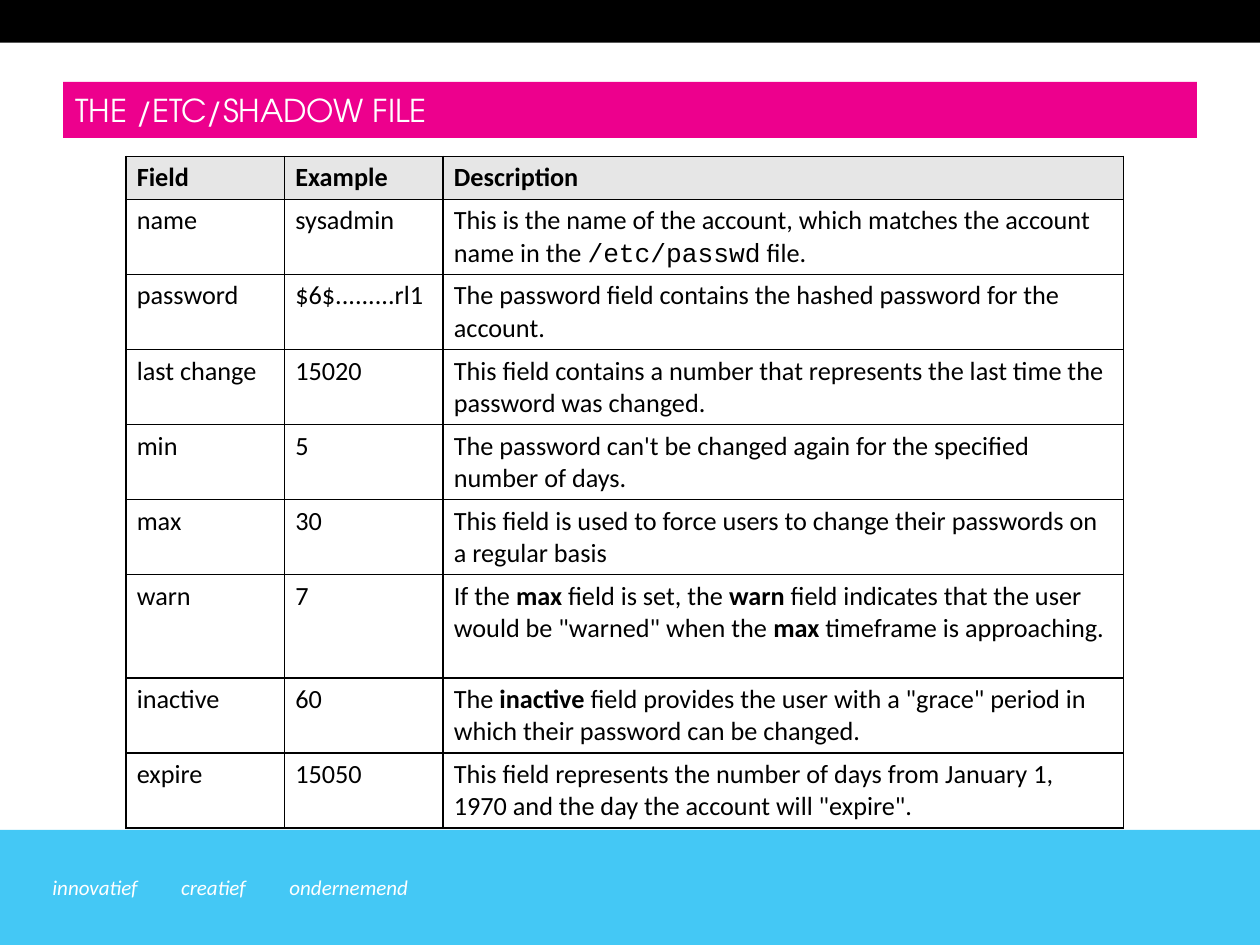
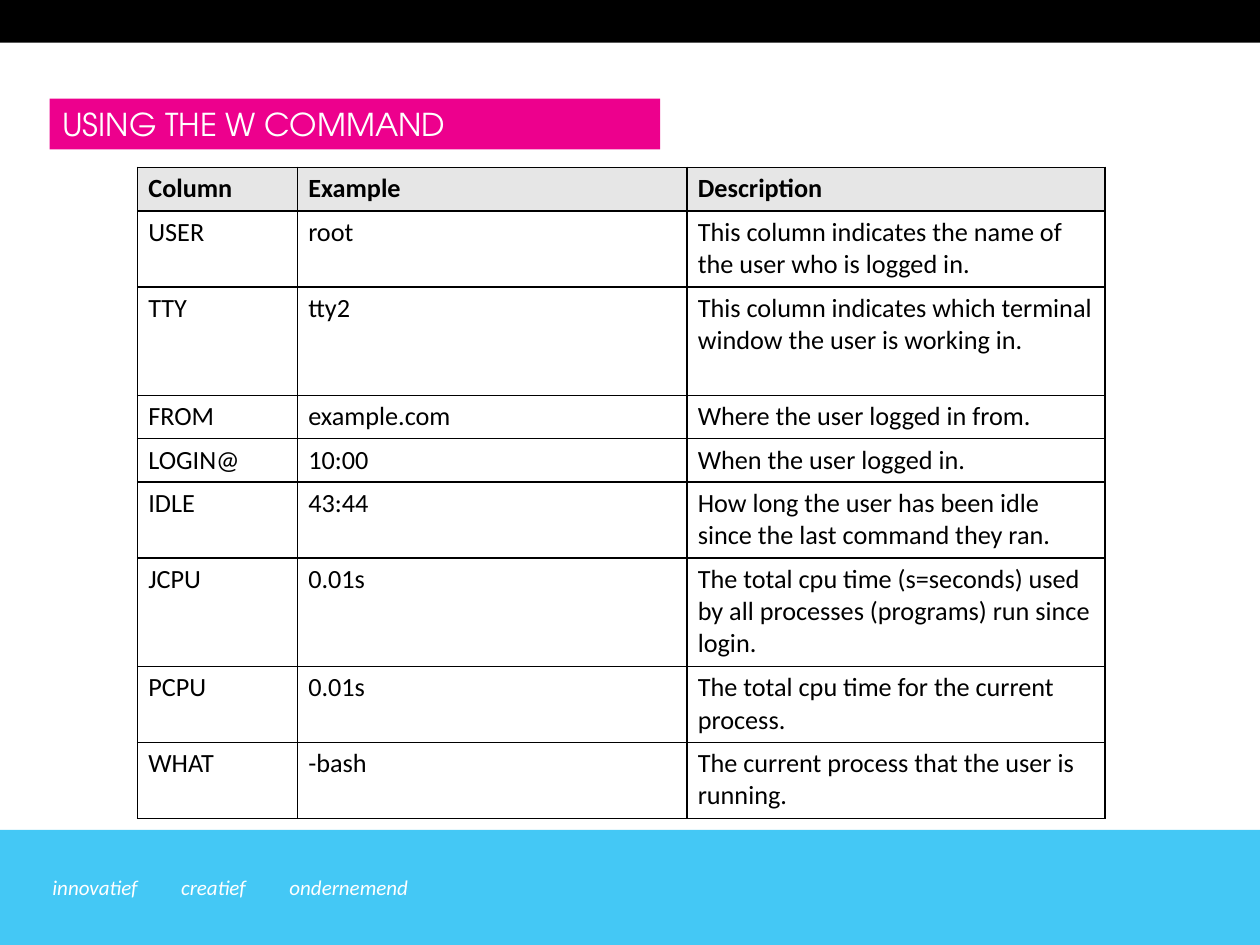
from dataclasses import dataclass

from lxml import etree
from pptx import Presentation
from pptx import util as u
from pptx.dml import color
from pptx.enum import shapes, text
from pptx.oxml import ns

Pt = u.Pt


@dataclass(frozen=True)
class Theme:
    """Colours, fonts and type sizes of the deck."""
    black: str = "000000"
    white: str = "FFFFFF"
    pink: str = "ED008D"
    blue: str = "44C8F5"
    header_gray: str = "E6E6E6"
    title_font: str = "TeX Gyre Adventor"
    body_font: str = "Calibri"
    code_font: str = "Courier New"
    title_size: int = 18
    table_size: int = 15
    footer_size: int = 12


SLIDE_WIDTH, SLIDE_HEIGHT = 720, 540
TITLE_ONLY = 5
FOOTER_TOP = 474.2
# word: (left, width)
FOOTER_WORDS = {
    "innovatief": (30, 56),
    "creatief": (103.5, 45),
    "ondernemend": (165.4, 76),
}
CELL_MARGIN_X, CELL_MARGIN_Y = 6.2, 3.13

# Styled words inside a cell are (words, style) pairs
SHADOW_ROWS = [
    ("Field", "Example", "Description"),
    ("name", "sysadmin",
     ["This is the name of the account, which matches the account name in the ",
      ("/etc/passwd", "code"), " file."]),
    ("password", "$6$.........rl1",
     "The password field contains the hashed password for the account."),
    ("last change", "15020",
     "This field contains a number that represents the last time the "
     "password was changed."),
    ("min", "5",
     "The password can't be changed again for the specified number of days."),
    ("max", "30",
     "This field is used to force users to change their passwords on a regular basis"),
    ("warn", "7",
     ["If the ", ("max", "bold"), " field is set, the ", ("warn", "bold"),
      ' field indicates that the user would be "warned" when the ',
      ("max ", "bold"), "timeframe is approaching."]),
    ("inactive", "60",
     ["The ", ("inactive", "bold"),
      ' field provides the user with a "grace" period in which their '
      "password can be changed."]),
    ("expire", "15050",
     "This field represents the number of days from January 1, 1970 and the day "
     'the account will "expire".'),
]

W_ROWS = [
    ("Column", "Example", "Description"),
    ("USER", "root", "This column indicates the name of the user who is logged in."),
    ("TTY", "tty2",
     "This column indicates which terminal window the user is working in."),
    ("FROM", "example.com", "Where the user logged in from."),
    ("LOGIN@", "10:00", "When the user logged in."),
    ("IDLE", "43:44",
     "How long the user has been idle since the last command they ran."),
    ("JCPU", "0.01s",
     "The total cpu time (s=seconds) used by all processes (programs) run since login."),
    ("PCPU", "0.01s", "The total cpu time for the current process."),
    ("WHAT", "-bash", "The current process that the user is running."),
]


class Deck:
    """Holds the theme and the slide being built."""

    def __init__(self, theme):
        self.theme = theme
        self.presentation = Presentation()
        self.presentation.slide_width = Pt(SLIDE_WIDTH)
        self.presentation.slide_height = Pt(SLIDE_HEIGHT)
        self.slide = None

    def add_slide(self, title, title_box):
        layout = self.presentation.slide_layouts[TITLE_ONLY]
        self.slide = self.presentation.slides.add_slide(layout)
        self.add_band(FOOTER_TOP, SLIDE_HEIGHT - FOOTER_TOP, self.theme.blue)
        self.add_band(0, 24.4, self.theme.black)
        for word, (left, width) in FOOTER_WORDS.items():
            self.add_footer_word(word, left, width)
        self.set_title(title, title_box)

    def set_fill(self, target, rgb):
        target.fill.solid()
        target.fill.fore_color.rgb = color.RGBColor.from_string(rgb)

    def set_font(self, font, name, size, rgb):
        font.name = name
        font.size = Pt(size)
        font.color.rgb = color.RGBColor.from_string(rgb)

    def add_band(self, top, height, rgb):
        band = self.slide.shapes.add_shape(
            shapes.MSO_SHAPE.RECTANGLE, 0, Pt(top), Pt(SLIDE_WIDTH), Pt(height))
        band.shadow.inherit = False
        self.set_fill(band, rgb)
        band.line.fill.background()

    def add_footer_word(self, word, left, width):
        box = self.slide.shapes.add_textbox(Pt(left), Pt(496.2), Pt(width), Pt(21.8))
        frame = box.text_frame
        frame.word_wrap = False
        frame.margin_left = 0
        paragraph = frame.paragraphs[0]
        paragraph.text = word
        paragraph.font.italic = True
        self.set_font(paragraph.font, self.theme.body_font,
                      self.theme.footer_size, self.theme.white)

    def set_title(self, title, box):
        shape = self.slide.shapes.title
        shape.left, shape.top, shape.width, shape.height = map(Pt, box)
        self.set_fill(shape, self.theme.pink)
        frame = shape.text_frame
        frame.word_wrap = True
        frame.auto_size = text.MSO_AUTO_SIZE.NONE
        frame.vertical_anchor = text.MSO_ANCHOR.MIDDLE
        paragraph = frame.paragraphs[0]
        paragraph.text = title
        paragraph.alignment = text.PP_ALIGN.LEFT
        self.set_font(paragraph.font, self.theme.title_font,
                      self.theme.title_size, self.theme.white)

    def add_table(self, left, top, widths, heights, rows):
        frame = self.slide.shapes.add_table(
            len(rows), len(widths), Pt(left), Pt(top), Pt(sum(widths)), Pt(sum(heights)))
        table = frame.table
        table.first_row = table.horz_banding = False
        for column, width in zip(table.columns, widths):
            column.width = Pt(width)
        for row, height in zip(table.rows, heights):
            row.height = Pt(height)
        for row_index, row in enumerate(rows):
            for column_index, content in enumerate(row):
                self.fill_cell(table.cell(row_index, column_index), content,
                               is_header=row_index == 0)

    def fill_cell(self, cell, content, is_header):
        cell.margin_left = cell.margin_right = Pt(CELL_MARGIN_X)
        cell.margin_top = cell.margin_bottom = Pt(CELL_MARGIN_Y)
        self.add_borders(cell)
        if is_header:
            self.set_fill(cell, self.theme.header_gray)
        else:
            cell.fill.background()
        paragraph = cell.text_frame.paragraphs[0]
        self.set_font(paragraph.font, self.theme.body_font,
                      self.theme.table_size, self.theme.black)
        paragraph.font.bold = is_header
        for part in content if isinstance(content, list) else [content]:
            words, style = part if isinstance(part, tuple) else (part, None)
            run = paragraph.add_run()
            run.text = words
            if style == "bold":
                run.font.bold = True
            elif style == "code":
                run.font.name = self.theme.code_font

    def add_borders(self, cell):
        properties = cell._tc.get_or_add_tcPr()
        for side in ("a:lnL", "a:lnR", "a:lnT", "a:lnB"):
            line = etree.SubElement(properties, ns.qn(side), w=str(Pt(1)))
            fill = etree.SubElement(line, ns.qn("a:solidFill"))
            etree.SubElement(fill, ns.qn("a:srgbClr"), val=self.theme.black)


def main():
    deck = Deck(Theme())

    # Fields of the shadow file
    deck.add_slide("THE /ETC/SHADOW FILE", (36, 46.8, 648, 32))
    one_line, two_lines, tall = 24.6, 42.9, 59
    deck.add_table(72, 89.4, [90.6, 90.6, 388.8],
                   [one_line] + [two_lines] * 5 + [tall] + [two_lines] * 2,
                   SHADOW_ROWS)

    # Columns of the w command
    deck.add_slide("USING THE W COMMAND", (28.4, 56.4, 348.8, 29))
    one_line, two_lines, tall = 24.8, 43.4, 62
    deck.add_table(78.6, 95.7, [91.4, 222.6, 239],
                   [one_line, two_lines, tall, one_line, one_line,
                    two_lines, tall, two_lines, two_lines],
                   W_ROWS)

    deck.presentation.save("out.pptx")


if __name__ == "__main__":
    main()
